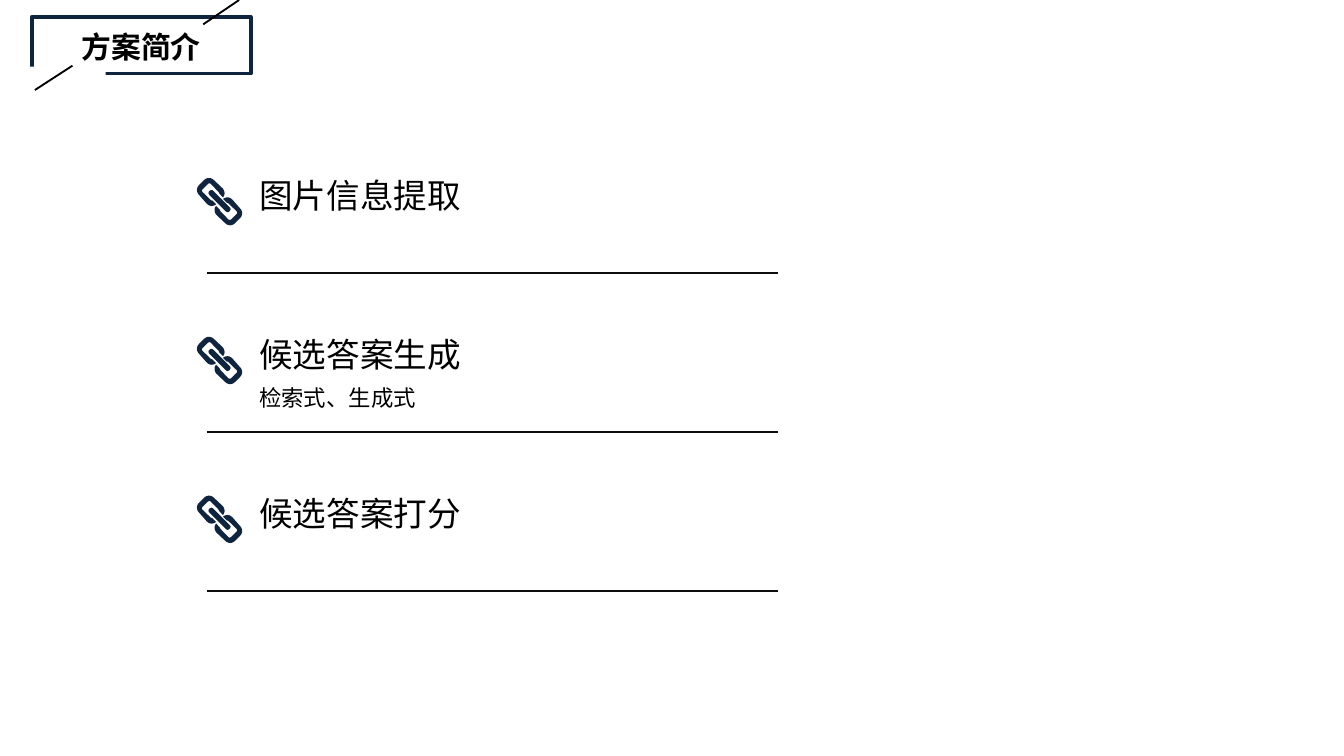
from dataclasses import dataclass

from lxml import etree
from pptx import Presentation
from pptx.dml.color import RGBColor
from pptx.enum.shapes import MSO_CONNECTOR, MSO_SHAPE
from pptx.enum.text import MSO_ANCHOR, MSO_AUTO_SIZE, PP_ALIGN
from pptx.oxml.ns import qn
from pptx.shapes.shapetree import SlideShapes
from pptx.util import Cm, Pt

NAVY = RGBColor(0x0F, 0x24, 0x3E)
BLACK = RGBColor(0x00, 0x00, 0x00)
RULE_GREY = RGBColor(0x0D, 0x0D, 0x0D)
WHITE = RGBColor(0xFF, 0xFF, 0xFF)

STRAIGHT = MSO_CONNECTOR.STRAIGHT
RECTANGLE = MSO_SHAPE.RECTANGLE
TOP = MSO_ANCHOR.TOP
CENTER = PP_ALIGN.CENTER
LEFT = PP_ALIGN.LEFT
NO_AUTOFIT = MSO_AUTO_SIZE.NONE

TITLE_FONT = "Arial"
BODY_FONT = "Noto Sans CJK SC"

FIRST_ROW_TOP = 3.15
ROW_PITCH = 3.0
ICON_X = 4.15
CURVE_STEPS = 6

# Outlines around the icon centre, in 0.1 mm. A step of one point is a straight
# segment; a step of three is a curve (two control points and an end point).
LINK = [
    [(-14, -2.5)], [(-16, -2.5)], [(-32, -18)],
    [(-34, -20), (-34, -22), (-32, -23.5)], [(-22, -33.5)],
    [(-20, -35), (-18, -35), (-16.5, -33.5)], [(-1.5, -18)], [(-1, -16)],
    [(6.5, -8)], [(11, -13), (10, -20), (6, -25)], [(-11, -41)],
    [(-16, -46), (-24, -46), (-29, -41)], [(-39, -31)],
    [(-44, -26), (-44, -18), (-39, -13)], [(-24, 4)],
    [(-19, 9), (-12, 9.5), (-6.5, 5)],
]
BAR = [
    [(-19, -20)], [(-21.5, -18), (-21.5, -15), (-19, -12.5)], [(11.5, 18)],
    [(14, 20.5), (16.5, 20.5), (19, 18)],
    [(21.5, 15.5), (21.5, 13), (19, 10.5)], [(-11.5, -20)],
    [(-14, -22.5), (-16.5, -22.5), (-19, -20)],
]


@dataclass(frozen=True)
class Step:
    heading: str
    detail: str = ""


STEPS = [
    Step("图片信息提取"),
    Step("候选答案生成", "检索式、生成式"),
    Step("候选答案打分"),
]


def add_run(paragraph, text: str, size: int, font: str, bold: bool = False) -> None:
    run = paragraph.add_run()
    run.text = text
    run.font.size = Pt(size)
    run.font.name = font
    run.font.bold = bold
    run.font.color.rgb = BLACK
    east_asian = etree.SubElement(run.font._element, qn("a:ea"))
    east_asian.set("typeface", BODY_FONT)


def add_line(shapes: SlideShapes, start: tuple, end: tuple,
             color: RGBColor, width: float) -> None:
    line = shapes.add_connector(STRAIGHT, Cm(start[0]), Cm(start[1]),
                                Cm(end[0]), Cm(end[1]))
    line.line.color.rgb = color
    line.line.width = Pt(width)
    etree.SubElement(line._element.spPr, qn("a:effectLst"))


def trace(outline: list) -> list[tuple[float, float]]:
    """Turn straight and curved steps into a list of points."""
    points = []
    for step in outline:
        if len(step) == 1:
            points.append(step[0])
            continue
        corners = [points[-1], *step]
        for i in range(1, CURVE_STEPS + 1):
            t = i / CURVE_STEPS
            weights = ((1 - t) ** 3, 3 * t * (1 - t) ** 2, 3 * t * t * (1 - t), t ** 3)
            points.append(tuple(sum(w * corner[axis] for w, corner in zip(weights, corners))
                                for axis in (0, 1)))
    return points


def add_link_icon(shapes: SlideShapes, center_x: float, center_y: float) -> None:
    """Draw two facing links, the second a half turn of the first, and a bar."""
    for outline, turn in ((LINK, 1), (LINK, -1), (BAR, 1)):
        points = [(Cm(center_x + turn * x / 100), Cm(center_y + turn * y / 100))
                  for x, y in trace(outline)]
        builder = shapes.build_freeform(*points[0])
        builder.add_line_segments(points[1:], close=True)
        part = builder.convert_to_shape()
        part.shadow.inherit = False
        part.fill.solid()
        part.fill.fore_color.rgb = NAVY
        part.line.fill.background()


def add_title(shapes: SlideShapes, text: str) -> None:
    title = shapes.title
    title.left, title.top, title.width, title.height = Cm(0), Cm(0.41), Cm(5.34), Cm(0.94)
    frame = title.text_frame
    frame.auto_size = NO_AUTOFIT
    frame.vertical_anchor = TOP
    frame.paragraphs[0].alignment = CENTER
    add_run(frame.paragraphs[0], text, 16, TITLE_FONT, bold=True)


def add_title_frame(shapes: SlideShapes) -> None:
    """Draw the border, open at its lower left corner, and two slanted strokes."""
    border = shapes.add_shape(RECTANGLE, Cm(0.6), Cm(0.32), Cm(4.14), Cm(1.07))
    border.shadow.inherit = False
    border.fill.background()
    border.line.color.rgb = NAVY
    border.line.width = Pt(2)

    gap = shapes.add_shape(RECTANGLE, Cm(0), Cm(1.26), Cm(2), Cm(0.2))
    gap.shadow.inherit = False
    gap.fill.solid()
    gap.fill.fore_color.rgb = WHITE
    gap.line.fill.background()

    add_line(shapes, (4.52, 0), (3.84, 0.46), BLACK, 1)
    add_line(shapes, (1.37, 1.24), (0.66, 1.7), BLACK, 1)


def add_step(shapes: SlideShapes, step: Step, top: float) -> None:
    lines = [(step.heading, 18)]
    if step.detail:
        lines.append((step.detail, 12))
    label = shapes.add_textbox(Cm(4.9), Cm(top), Cm(12.47), Cm(1.55 if step.detail else 0.81))
    frame = label.text_frame
    frame.word_wrap = True
    frame.vertical_anchor = TOP
    frame.margin_left = frame.margin_right = frame.margin_top = frame.margin_bottom = 0
    for index, (text, size) in enumerate(lines):
        paragraph = frame.add_paragraph() if index else frame.paragraphs[0]
        paragraph.alignment = LEFT
        paragraph.line_spacing = 1.2
        paragraph.space_before = Pt(size * 0.2)
        add_run(paragraph, text, size, BODY_FONT)
    add_link_icon(shapes, ICON_X, top + 0.66)
    rule_y = top + 2.01
    add_line(shapes, (3.91, rule_y), (14.71, rule_y), RULE_GREY, 0.75)


def main() -> None:
    presentation = Presentation()
    presentation.slide_width = Cm(25.4)
    presentation.slide_height = Cm(14.28)
    slide = presentation.slides.add_slide(presentation.slide_layouts[5])
    add_title(slide.shapes, "方案简介")
    add_title_frame(slide.shapes)
    for row, step in enumerate(STEPS):
        add_step(slide.shapes, step, FIRST_ROW_TOP + row * ROW_PITCH)
    presentation.save("out.pptx")


if __name__ == "__main__":
    main()
